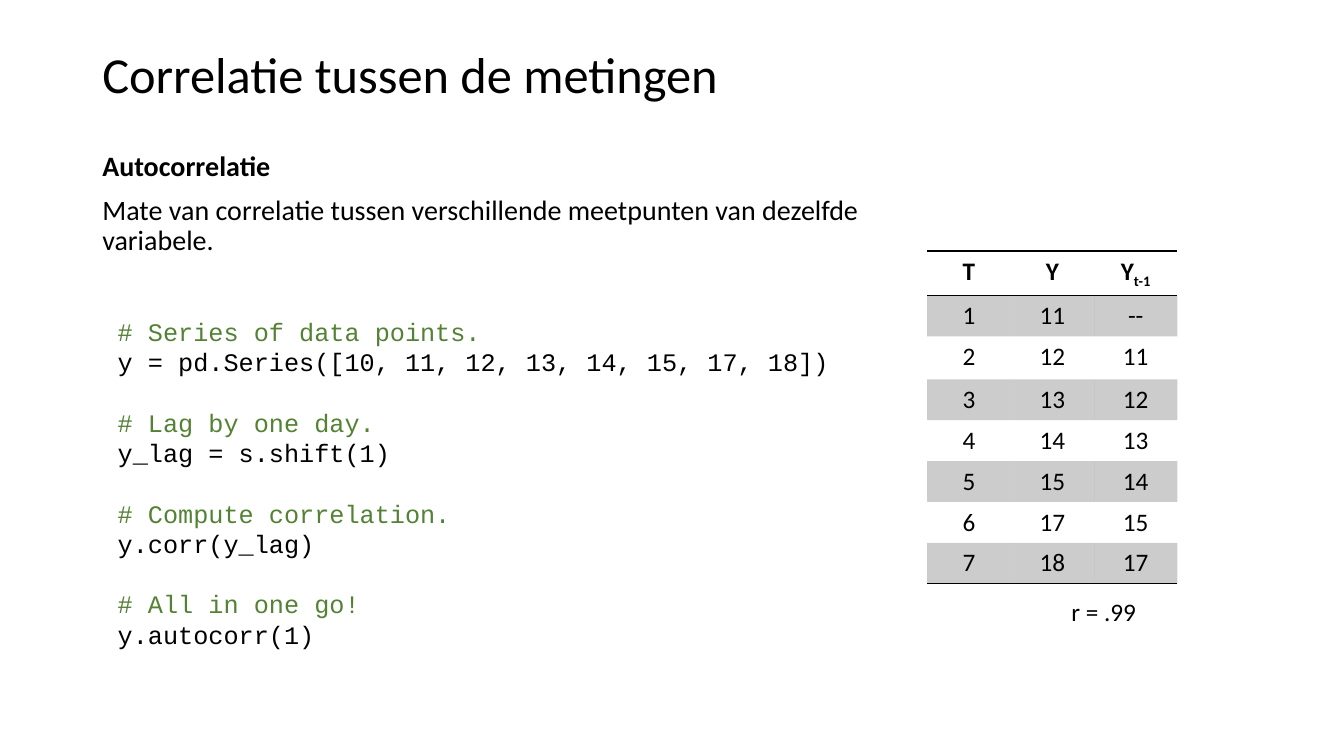
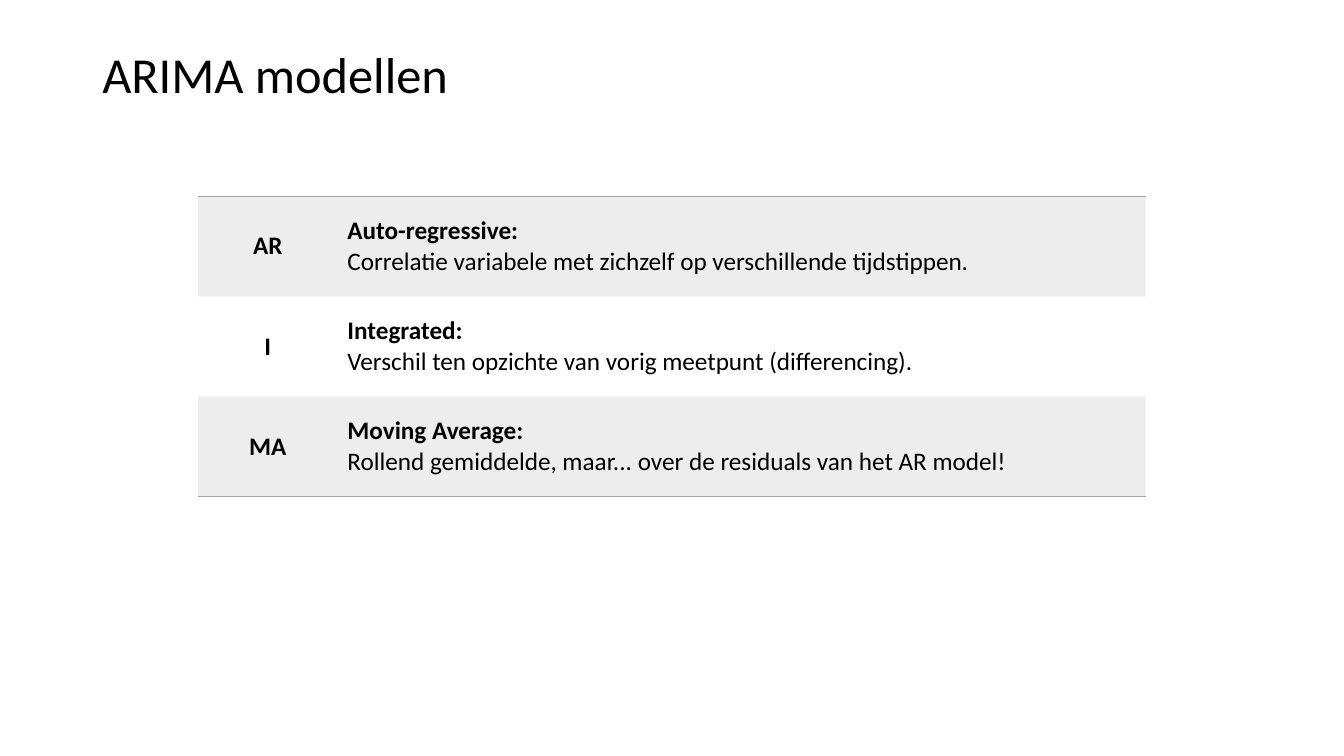
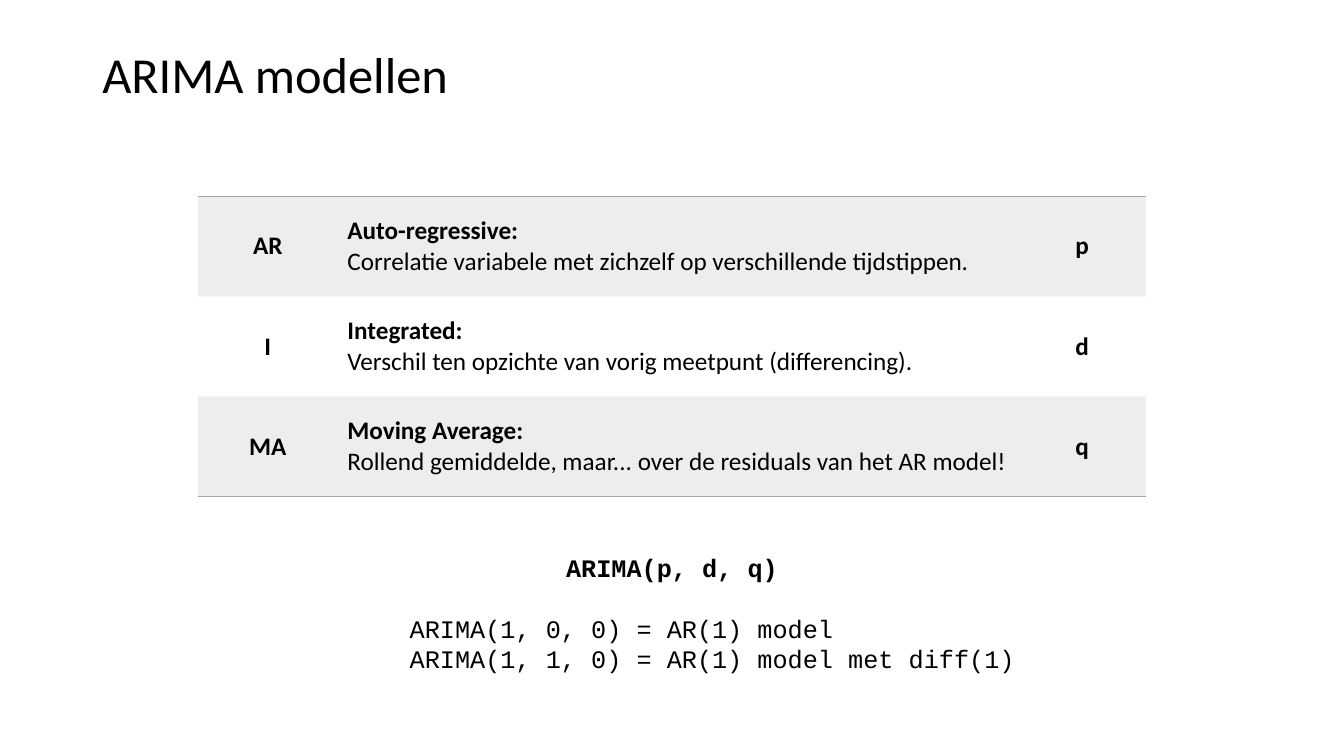
from dataclasses import dataclass

from lxml import etree
from pptx import Presentation
from pptx import util as u
from pptx.dml.color import RGBColor
from pptx.enum import text
from pptx.oxml import ns


@dataclass(frozen=True)
class Theme:
    black: str = "000000"
    grey: str = "A5A5A5"
    comment: str = "548235"
    tint: int = 20
    rule: int = 1
    sans: str = "Calibri"
    mono: str = "Courier New"
    title: int = 36
    body: int = 20
    base: int = 18
    tight: float = 0.9
    code_gap: float = 21.6
    plain_table: str = "{2D5ABB26-0587-4C30-8999-92F81FD0307C}"


T = Theme()
CENTER = text.PP_ALIGN.CENTER
MIDDLE = text.MSO_ANCHOR.MIDDLE


@dataclass
class Para:
    text: str
    size: int = T.base
    bold: bool = False
    color: str = T.black
    font: str = T.sans
    align: text.PP_ALIGN = text.PP_ALIGN.LEFT
    before: float = 0
    spacing: float = 1.0
    level: int = 0


def style_run(r, para):
    r.font.name = para.font
    r.font.size = u.Pt(para.size)
    r.font.bold = para.bold
    r.font.color.rgb = RGBColor.from_string(para.color)


def write(tf, paras):
    for i, para in enumerate(paras):
        p = tf.paragraphs[0] if i == 0 else tf.add_paragraph()
        p.text = para.text
        p.level = para.level
        p.alignment = para.align
        p.line_spacing = para.spacing
        p.space_before = u.Pt(para.before)
        for r in p.runs:
            style_run(r, para)


def add_text(s, box, paras, wrap=True, anchor=text.MSO_ANCHOR.TOP):
    tf = s.shapes.add_textbox(*map(u.Pt, box)).text_frame
    tf.word_wrap = wrap
    tf.vertical_anchor = anchor
    write(tf, paras)


def add_slide(prs, title):
    s = prs.slides.add_slide(prs.slide_layouts[6])
    add_text(s, (66, 28.8, 828, 52.2),
             [Para(title, T.title, spacing=T.tight)], anchor=MIDDLE)
    return s


def add_code(s, box, blocks):
    """Write blocks of (comment, statement), set apart by one line."""
    paras = []
    for i, (comment, statement) in enumerate(blocks):
        paras += [Para(comment, color=T.comment, font=T.mono,
                       before=T.code_gap if i else 0),
                  Para(statement, font=T.mono)]
    add_text(s, box, paras, wrap=False)


def tint_cell(cell, color):
    cell.fill.solid()
    cell.fill.fore_color.rgb = RGBColor.from_string(color)
    clr = cell._tc.tcPr.find(".//" + ns.qn("a:srgbClr"))
    etree.SubElement(clr, ns.qn("a:alpha"), val=str(T.tint * 1000))


def rule_cell(cell, edges, color):
    """Draw the named edges (T, B); they go ahead of the fill."""
    tcPr = cell._tc.get_or_add_tcPr()
    for i, edge in enumerate(edges):
        ln = etree.Element(ns.qn("a:ln" + edge), w=str(u.Pt(T.rule)))
        fill = etree.SubElement(ln, ns.qn("a:solidFill"))
        etree.SubElement(fill, ns.qn("a:srgbClr"), val=color)
        tcPr.insert(i, ln)


def add_banded_table(s, left, top, widths, heights, rows, color, first_band,
                     ruled, anchor=text.MSO_ANCHOR.TOP):
    """Band every second row from first_band; ruled maps a row to its edges."""
    t = s.shapes.add_table(len(rows), len(widths), u.Pt(left), u.Pt(top),
                           u.Pt(sum(widths)), u.Pt(sum(heights))).table
    t.first_row = t.horz_banding = False
    t._tbl.tblPr.find(ns.qn("a:tableStyleId")).text = T.plain_table
    for col, width in zip(t.columns, widths):
        col.width = u.Pt(width)
    for i, (height, row) in enumerate(zip(heights, rows)):
        t.rows[i].height = u.Pt(height)
        for j, paras in enumerate(row):
            cell = t.cell(i, j)
            cell.vertical_anchor = anchor
            write(cell.text_frame, paras)
            if i >= first_band and (i - first_band) % 2 == 0:
                tint_cell(cell, color)
            else:
                cell.fill.background()
            rule_cell(cell, ruled.get(i, ""), color)
    return t


def add_lag_table(s):
    values = ["11", "12", "13", "14", "15", "17", "18"]
    data = [("T", "Y", "Y")]
    data += zip(map(str, range(1, 8)), values, ["--"] + values)
    rows = [[[Para(v, bold=i == 0, align=CENTER)] for v in row]
            for i, row in enumerate(data)]
    heights = [29.2, 29.2, 30.7] + [29.2] * 5
    t = add_banded_table(s, 662.3, 179.3, [59.6] * 3, heights, rows, T.black,
                         1, {0: "TB", 7: "B"})
    r = t.cell(0, 2).text_frame.paragraphs[0].add_run()
    r.text = "t-1"
    style_run(r, Para("", bold=True))
    r._r.get_or_add_rPr().set("baseline", "-25000")


def add_arima_table(s, orders):
    terms = [
        ("AR", "Auto-regressive:",
         "Correlatie variabele met zichzelf op verschillende tijdstippen."),
        ("I", "Integrated:",
         "Verschil ten opzichte van vorig meetpunt (differencing)."),
        ("MA", "Moving Average:",
         "Rollend gemiddelde, maar... over de residuals van het AR model!"),
    ]
    rows = [[[Para(short, bold=True, align=CENTER)],
             [Para(name, bold=True), Para(meaning)],
             [Para(order, bold=True, align=CENTER)]]
            for (short, name, meaning), order in zip(terms, orders)]
    add_banded_table(s, 141.6, 140.2, [99.4, 486.7, 90.7], [71.5] * 3, rows,
                     T.grey, 0, {0: "T", 2: "B"}, MIDDLE)


def autocorrelation_slide(prs):
    s = add_slide(prs, "Correlatie tussen de metingen")
    add_text(s, (66, 105.1, 558, 382.3), [
        Para("Autocorrelatie", T.body, True, spacing=T.tight),
        Para("Mate van correlatie tussen verschillende meetpunten van "
             "dezelfde variabele.", T.body, before=10, spacing=T.tight)])
    add_lag_table(s)
    add_code(s, (77, 222.5, 525, 290.9), [
        ("# Series of data points.",
         "y = pd.Series([10, 11, 12, 13, 14, 15, 17, 18])"),
        ("# Lag by one day.", "y_lag = s.shift(1)"),
        ("# Compute correlation.", "y.corr(y_lag)"),
        ("# All in one go!", "y.autocorr(1)")])
    add_text(s, (758.2, 422.6, 61.2, 28.8), [Para("r = .99")], wrap=False)


def arima_slide(prs, orders):
    s = add_slide(prs, "ARIMA modellen")
    add_arima_table(s, orders)
    return s


def arima_orders_slide(prs):
    s = arima_slide(prs, "pdq")
    add_text(s, (141.6, 391, 676.8, 94.3), [
        Para("ARIMA(p, d, q)", bold=True, font=T.mono, align=CENTER),
        Para("ARIMA(1, 0, 0) = AR(1) model", font=T.mono,
             before=T.code_gap, level=4),
        Para("ARIMA(1, 1, 0) = AR(1) model met diff(1)", font=T.mono,
             level=4)])


def main():
    prs = Presentation()
    prs.slide_width, prs.slide_height = u.Pt(960), u.Pt(540)
    autocorrelation_slide(prs)
    arima_slide(prs, [""] * 3)
    arima_orders_slide(prs)
    prs.save("out.pptx")


if __name__ == "__main__":
    main()
